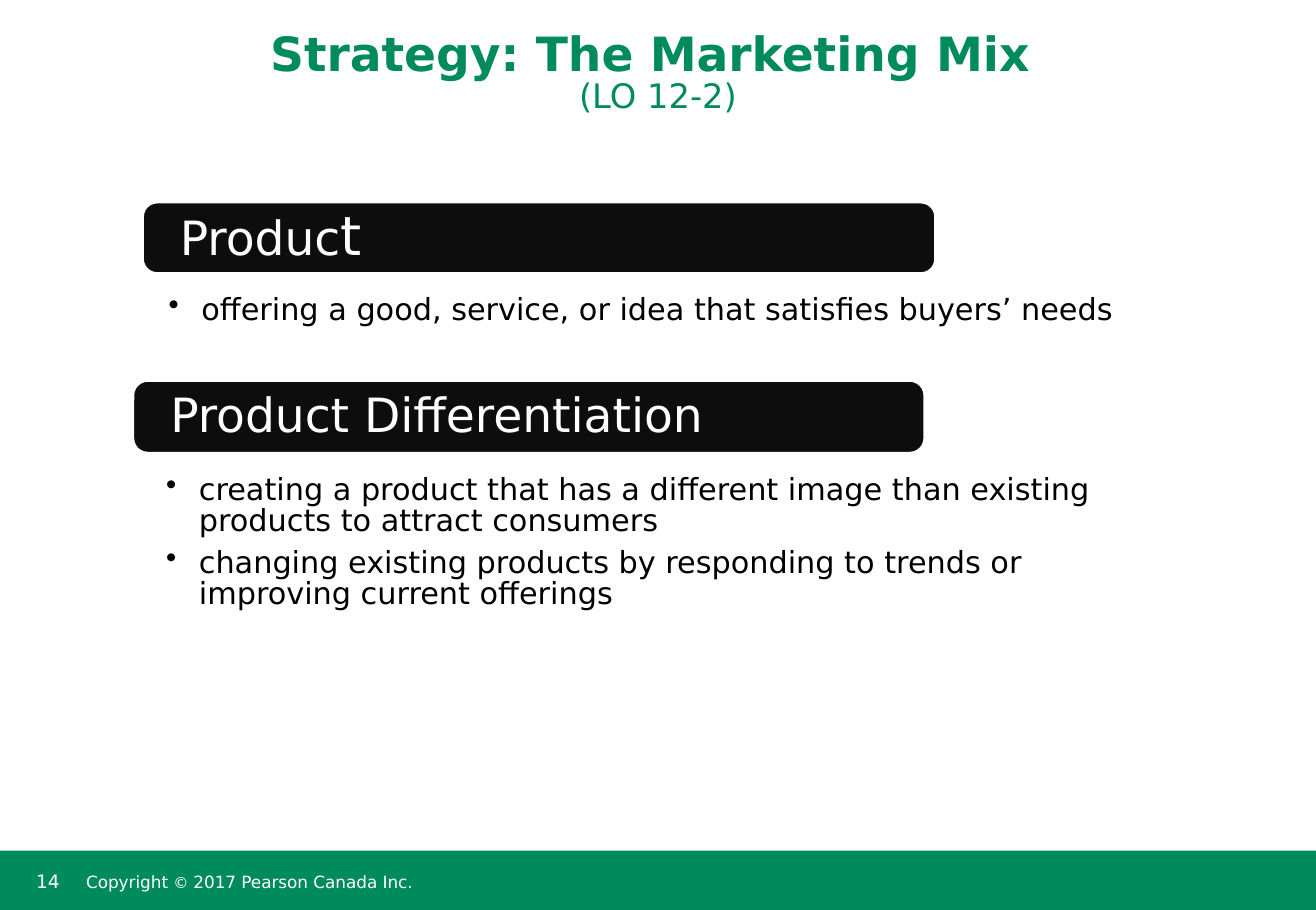
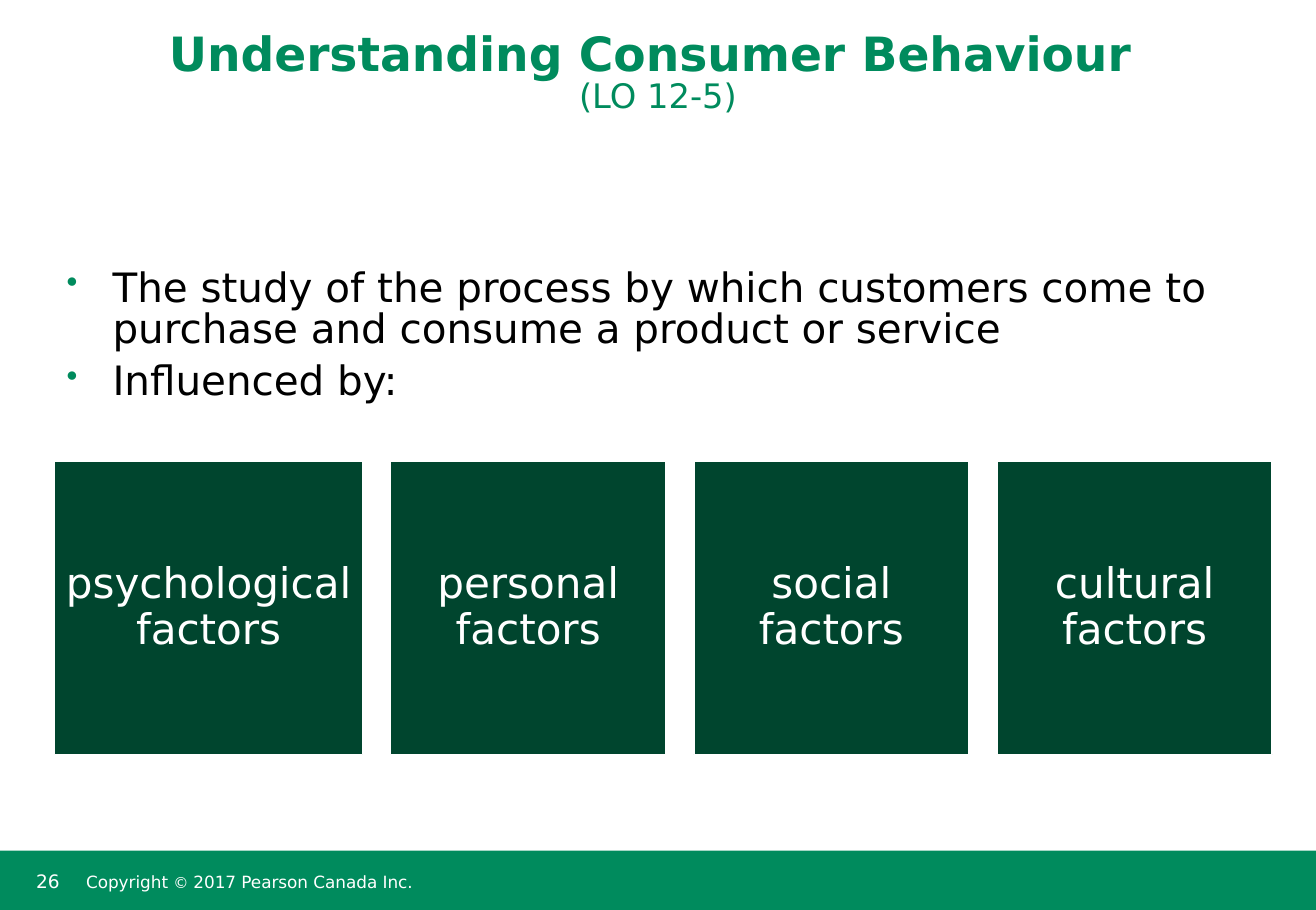
import pptx
import pptx.util
import pptx.dml.color
import pptx.enum.shapes
import pptx.enum.text
import pptx.oxml.ns
from lxml import etree

PX = 9144  # one px is a hundredth of an inch
WIDE, HIGH = 1085, 750
GREEN, DARK, INK = "008B5D", "00452E", "0D0D0D"
WHITE, BLACK = "FFFFFF", "000000"
FACE = "DejaVu Sans"
SHAPE = pptx.enum.shapes.MSO_SHAPE
ALIGN = pptx.enum.text.PP_ALIGN
ANCHOR = pptx.enum.text.MSO_ANCHOR
qn = pptx.oxml.ns.qn


def px(*sizes):
    return [size * PX for size in sizes]


def paint(target, color):
    """Give a fill or a font its colour."""
    if hasattr(target, "solid"):
        target.solid()
        target.fore_color.rgb = pptx.dml.color.RGBColor.from_string(color)
    else:
        target.color.rgb = pptx.dml.color.RGBColor.from_string(color)


def fade(shape, share):
    """Set the opacity of a solid fill, in percent."""
    tone = shape.fill._xPr.find(".//" + qn("a:srgbClr"))
    etree.SubElement(tone, qn("a:alpha"), val=str(share * 1000))


def dot(para, color, size, hang):
    """Hang a paragraph from a bullet."""
    props = para._p.get_or_add_pPr()
    props.set("marL", str(hang * PX))
    props.set("indent", str(-hang * PX))
    tone = etree.SubElement(props, qn("a:buClr"))
    etree.SubElement(tone, qn("a:srgbClr"), val=color)
    etree.SubElement(props, qn("a:buSzPct"), val=str(size * 1000))
    etree.SubElement(props, qn("a:buChar"), char="•")


def write(frame, *paras, size=18, color=BLACK, align=ALIGN.LEFT, line=1.0,
          after=0, anchor=ANCHOR.TOP, inset=(10, 5, 10, 5), bullet=None):
    """Each paragraph is a string or a list of (text, size, bold) runs."""
    frame.word_wrap = True
    frame.auto_size = pptx.enum.text.MSO_AUTO_SIZE.NONE
    frame.vertical_anchor = anchor
    (frame.margin_left, frame.margin_top,
     frame.margin_right, frame.margin_bottom) = px(*inset)
    for spot, runs in enumerate(paras):
        para = frame.add_paragraph() if spot else frame.paragraphs[0]
        if bullet:
            dot(para, *bullet)
        para.alignment = align
        para.line_spacing = line
        para.space_before = pptx.util.Pt(0)
        para.space_after = pptx.util.Pt(after)
        if isinstance(runs, str):
            runs = [(runs, size, False)]
        for text, points, bold in runs:
            run = para.add_run()
            run.text = text.rstrip("\n")
            run.font.name = FACE
            run.font.size = pptx.util.Pt(points)
            run.font.bold = bold
            paint(run.font, color)
            if text.endswith("\n"):
                para.add_line_break()
                feed = para._p.find(qn("a:br"))
                etree.SubElement(feed, qn("a:rPr"), sz=str(points * 100))


class Deck:
    """Holds the style and the current slide."""

    def __init__(self):
        self.file = pptx.Presentation()
        self.file.slide_width, self.file.slide_height = px(WIDE, HIGH)

    def page(self, number, title, goal):
        self.slide = self.file.slides.add_slide(self.file.slide_layouts[5])
        # Footer band
        self.block((0, 701, WIDE, 49), GREEN)
        self.text((20, 712, 47, 32), number, size=11, color=WHITE)
        self.text((66, 701, 578, 49),
                  [("Copyright ", 10, False), ("© ", 9, False),
                   ("2017 Pearson Canada Inc.", 10, False)],
                  color=WHITE, line=0.85, anchor=ANCHOR.MIDDLE,
                  inset=(5, 10, 5, 5))
        # Title
        head = self.slide.shapes.title
        head.left, head.top, head.width, head.height = px(0, 0, WIDE, 100)
        write(head.text_frame, [(title + " \n", 28, True), (goal, 20, False)],
              color=GREEN, align=ALIGN.CENTER, line=0.85, after=6.5,
              anchor=ANCHOR.BOTTOM)

    def block(self, box, fill, kind=SHAPE.RECTANGLE, edge=None):
        shape = self.slide.shapes.add_shape(kind, *px(*box))
        shape.shadow.inherit = False
        paint(shape.fill, fill)
        if edge:
            paint(shape.line.fill, edge)
            shape.line.width = pptx.util.Pt(1)
        else:
            shape.line.fill.background()
        return shape

    def text(self, box, *paras, **style):
        shape = self.slide.shapes.add_textbox(*px(*box))
        write(shape.text_frame, *paras, **style)

    def panel(self, box, *points):
        shape = self.block(box, WHITE)
        fade(shape, 90)
        write(shape.text_frame, *points, line=0.85, after=6.5,
              inset=(67, 57, 67, 19), bullet=(BLACK, 100, 27))

    def label(self, box, words, after):
        shape = self.block(box, INK, SHAPE.ROUNDED_RECTANGLE, WHITE)
        shape.adjustments[0] = 0.2
        write(shape.text_frame, words, size=28, color=WHITE, line=0.9,
              after=after, anchor=ANCHOR.MIDDLE, inset=(27, 4, 27, 4))

    def tile(self, box, words):
        shape = self.block(box, DARK, edge=WHITE)
        write(shape.text_frame, words, size=25, color=WHITE,
              align=ALIGN.CENTER, line=0.9, after=10.9,
              anchor=ANCHOR.MIDDLE, inset=(9, 9, 9, 9))


def main():
    deck = Deck()

    # Marketing mix
    deck.page("14", "Strategy: The Marketing Mix", "(LO 12-2)")
    deck.panel((72, 187, 968, 151),
               "offering a good, service, or idea that satisfies buyers’ needs")
    deck.label((118, 167, 653, 58),
               [("Produc", 28, False), ("t", 32, False)], 14)
    deck.panel((70, 335, 967, 193),
               "creating a product that has a different image than existing "
               "products to attract consumers",
               "changing existing products by responding to trends or "
               "improving current offerings")
    deck.label((110, 314, 652, 59), "Product Differentiation", 12.2)

    # Consumer behaviour
    deck.page("26", "Understanding Consumer Behaviour", "(LO 12-5)")
    deck.text((45, 217, 995, 163),
              "The study of the process by which customers come to purchase "
              "and consume a product or service",
              "Influenced by:",
              size=24, line=0.85, after=6.5, bullet=(GREEN, 80, 38))
    left, gap = 45, 23
    for name, width in (("psychological", 254), ("personal", 227),
                        ("social", 227), ("cultural", 227)):
        deck.tile((left, 380, width, 242), name + " factors")
        left += width + gap

    deck.file.save("out.pptx")


if __name__ == "__main__":
    main()
